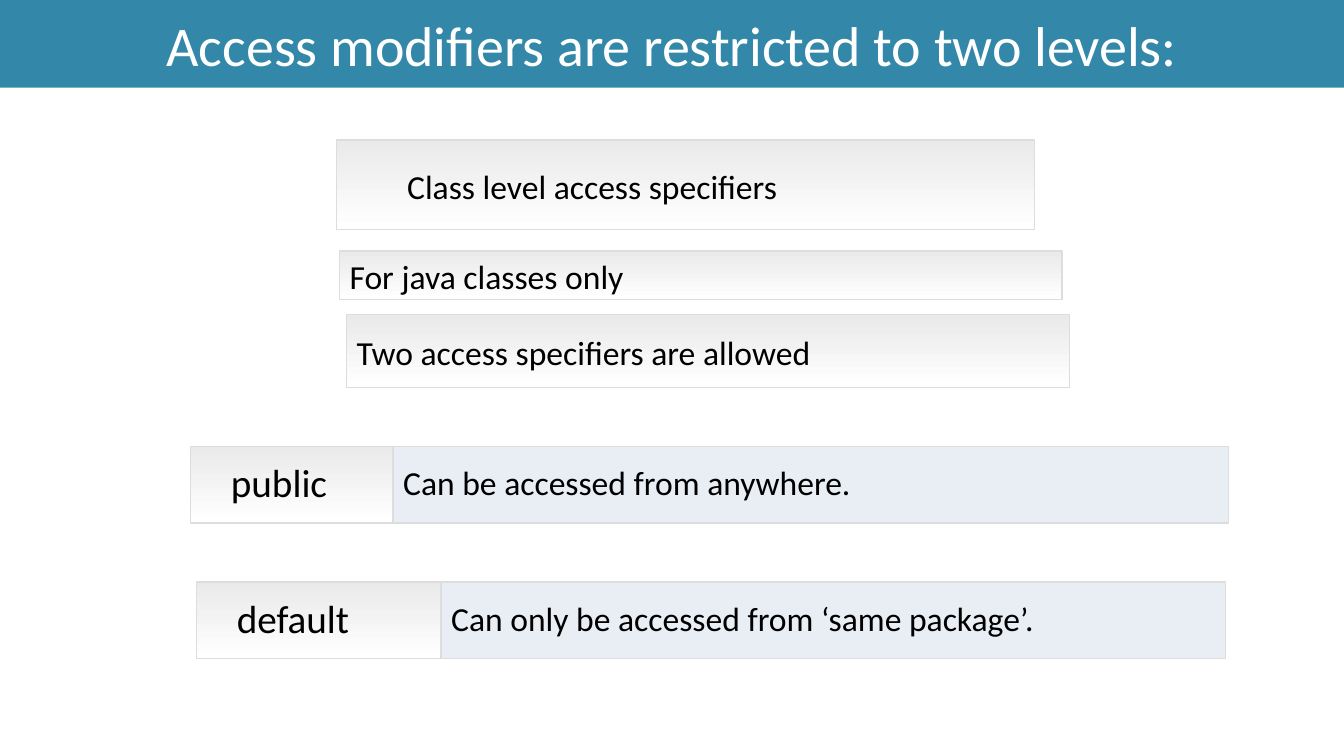
"""Build a slide on the access modifiers of Java classes."""
from dataclasses import dataclass

from pptx import Presentation
from pptx.dml.color import RGBColor
from pptx.enum.shapes import MSO_SHAPE
from pptx.enum.text import MSO_ANCHOR, MSO_AUTO_SIZE, PP_ALIGN
from pptx.util import Cm, Pt

RECTANGLE = MSO_SHAPE.RECTANGLE
MIDDLE = MSO_ANCHOR.MIDDLE
NO_AUTOFIT = MSO_AUTO_SIZE.NONE
LEFT, CENTER, JUSTIFY = PP_ALIGN.LEFT, PP_ALIGN.CENTER, PP_ALIGN.JUSTIFY
TITLE_ONLY = 5
SLIDE_WIDTH, SLIDE_HEIGHT = 33.87, 19.05


@dataclass(frozen=True)
class Theme:
    """Colours, font and type sizes of the slide."""

    font: str = "Calibri"
    banner: str = "3388A9"
    banner_text: str = "FFFFFF"
    gradient: tuple = ("EAEAEA", "FFFFFF")
    panel: str = "E9EDF4"
    border: str = "DDDDDD"
    text: str = "000000"
    title_size: float = 40
    label_size: float = 28
    body_size: float = 24
    box_spacing: float = 29.9
    panel_spacing: float = 25


class SlideBuilder:
    """Draw the elements of one slide in one theme."""

    def __init__(self, slide, theme):
        """Keep the slide and the theme."""
        self.slide = slide
        self.theme = theme

    def add_text(self, shape, text, size, color, align, insets):
        """Put one formatted line of text into a shape."""
        frame = shape.text_frame
        frame.auto_size = NO_AUTOFIT
        frame.word_wrap = True
        frame.vertical_anchor = MIDDLE
        left, top, right, bottom = insets
        frame.margin_left, frame.margin_top = Cm(left), Cm(top)
        frame.margin_right, frame.margin_bottom = Cm(right), Cm(bottom)
        paragraph = frame.paragraphs[0]
        paragraph.alignment = align
        run = paragraph.add_run()
        run.text = text
        run.font.name = self.theme.font
        run.font.size = Pt(size)
        run.font.color.rgb = RGBColor.from_string(color)
        return paragraph

    def title(self, text, height):
        """Turn the title placeholder into a full-width banner."""
        shape = self.slide.shapes.title
        shape.left, shape.top = Cm(0), Cm(0)
        shape.width, shape.height = Cm(SLIDE_WIDTH), Cm(height)
        shape.fill.solid()
        shape.fill.fore_color.rgb = RGBColor.from_string(self.theme.banner)
        self.add_text(shape, text, self.theme.title_size,
                      self.theme.banner_text, CENTER, (0.25, 0.13, 0.25, 0.13))

    def rectangle(self, left, top, width, height):
        """Add a thinly outlined rectangle."""
        shape = self.slide.shapes.add_shape(
            RECTANGLE, Cm(left), Cm(top), Cm(width), Cm(height))
        shape.shadow.inherit = False
        shape.line.color.rgb = RGBColor.from_string(self.theme.border)
        shape.line.width = Pt(1)
        return shape

    def gradient_box(self, text, bounds, size, indent, align=LEFT):
        """Add a box shaded from grey at the top to white."""
        shape = self.rectangle(*bounds)
        shape.fill.gradient()
        shape.fill.gradient_angle = 270
        for stop, color in zip(shape.fill.gradient_stops, self.theme.gradient):
            stop.color.rgb = RGBColor.from_string(color)
        paragraph = self.add_text(shape, text, size, self.theme.text, align,
                                  (indent, 0.25, 0, 0.25))
        paragraph.line_spacing = Pt(self.theme.box_spacing)

    def panel(self, text, bounds):
        """Add a plain tinted box for a description."""
        shape = self.rectangle(*bounds)
        shape.fill.solid()
        shape.fill.fore_color.rgb = RGBColor.from_string(self.theme.panel)
        paragraph = self.add_text(shape, text, self.theme.body_size,
                                  self.theme.text, LEFT, (0.25, 0.25, 0, 0.25))
        paragraph.line_spacing = Pt(self.theme.panel_spacing)

    def modifier(self, name, meaning, left, top, split, right):
        """Add a modifier name with its meaning beside it."""
        height = 1.93
        self.gradient_box(name, (left, top, split - left, height),
                          self.theme.label_size, 1.02, JUSTIFY)
        self.panel(meaning, (split, top, right - split, height))


def main():
    """Build and save the presentation."""
    presentation = Presentation()
    presentation.slide_width = Cm(SLIDE_WIDTH)
    presentation.slide_height = Cm(SLIDE_HEIGHT)
    layout = presentation.slide_layouts[TITLE_ONLY]
    theme = Theme()
    builder = SlideBuilder(presentation.slides.add_slide(layout), theme)

    builder.title("Access modifiers are restricted to two levels:", 2.21)
    statements = [
        ("Class level access specifiers", (8.48, 3.53, 17.6, 2.26), 1.78),
        ("For java classes only", (8.56, 6.33, 18.21, 1.22), 0.25),
        ("Two access specifiers are allowed", (8.74, 7.93, 18.21, 1.83), 0.25),
    ]
    for text, bounds, indent in statements:
        builder.gradient_box(text, bounds, theme.body_size, indent)

    modifiers = [
        ("public", "Can be accessed from anywhere.", 4.8, 11.25, 9.91, 30.96),
        ("default", "Can only be accessed from ‘same package’.",
         4.95, 14.67, 11.12, 30.89),
    ]
    for modifier in modifiers:
        builder.modifier(*modifier)

    presentation.save("out.pptx")


if __name__ == "__main__":
    main()
